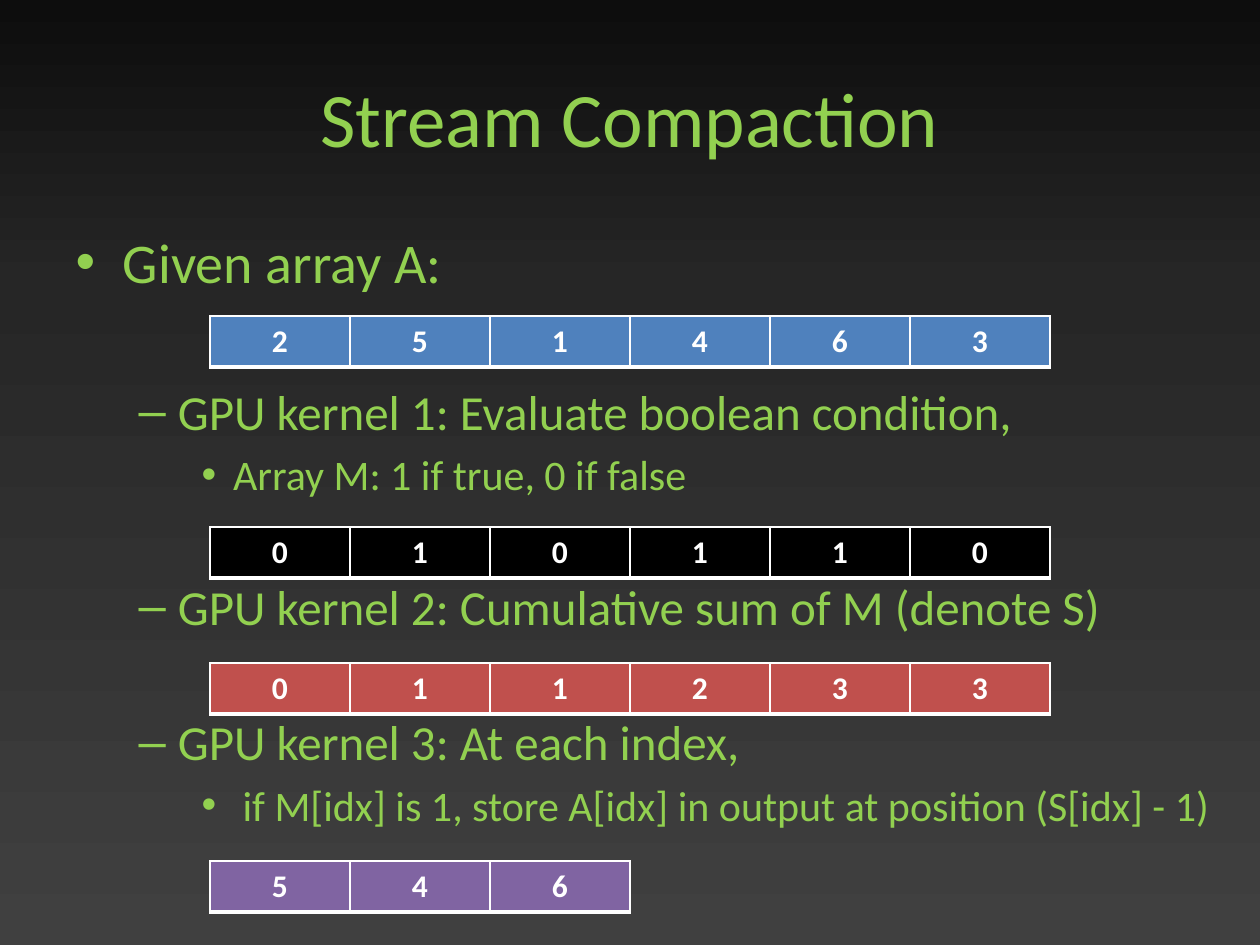
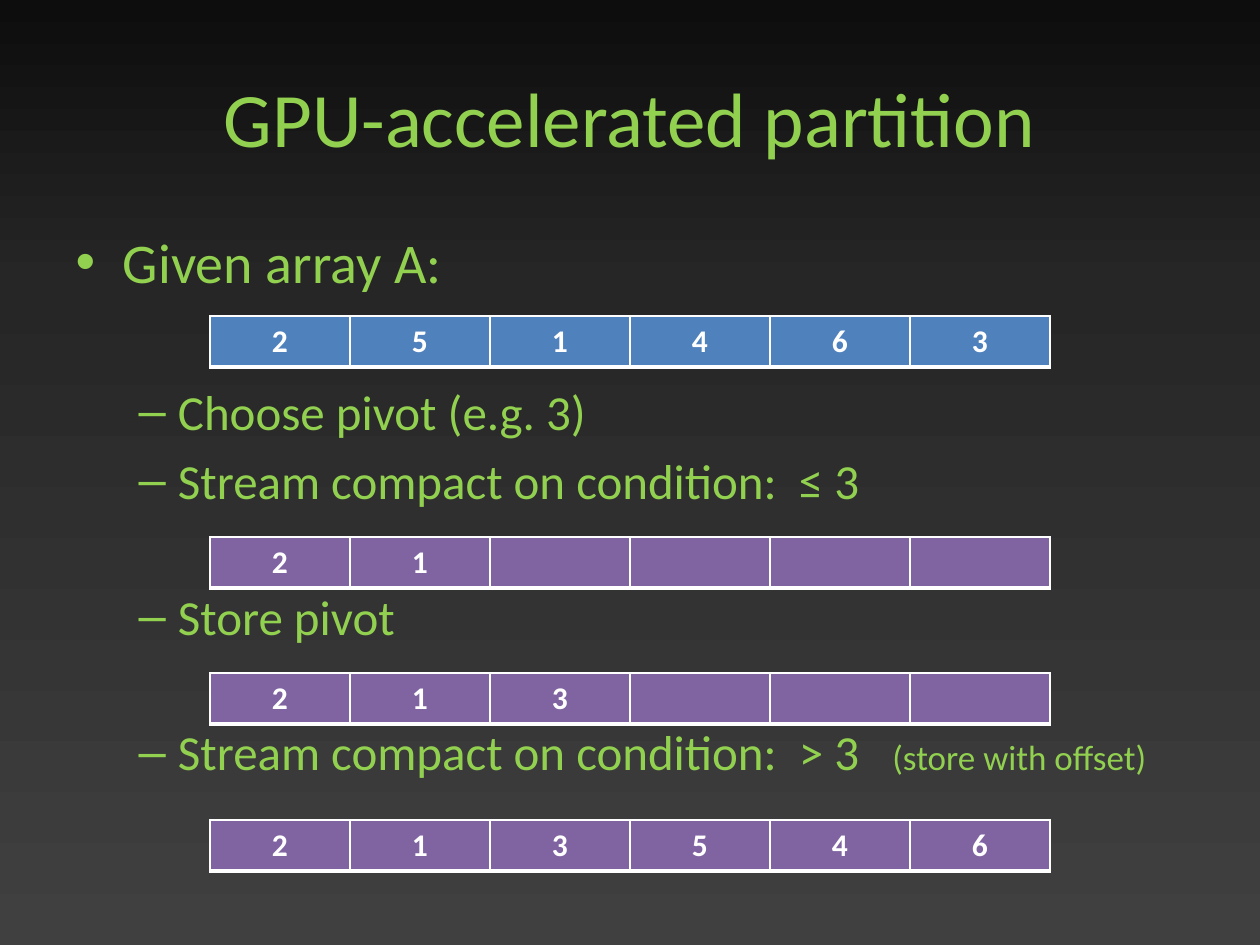
from copy import deepcopy

from lxml.etree import SubElement
from pptx import Presentation
from pptx.dml.color import RGBColor
from pptx.enum.text import MSO_ANCHOR, MSO_AUTO_SIZE, PP_ALIGN
from pptx.oxml.ns import qn
from pptx.util import Emu, Pt

GREEN = RGBColor(0x92, 0xD0, 0x50)
WHITE = RGBColor(0xFF, 0xFF, 0xFF)
BLACK = RGBColor(0x00, 0x00, 0x00)
BLUE = RGBColor(0x4F, 0x81, 0xBD)
RED = RGBColor(0xC0, 0x50, 0x4D)
PURPLE = RGBColor(0x80, 0x64, 0xA2)
SHADES = [
    (0, RGBColor(0x40, 0x40, 0x40)),
    (0.7, RGBColor(0x26, 0x26, 0x26)),
    (1, RGBColor(0x0D, 0x0D, 0x0D)),
]

FONT = "Calibri"
SIZES = [32, 28, 24]  # text size by list level
WIDE = 87  # space left in the list for the first array
SLIM = 77  # space left for each later array

INPUT = (316, BLUE, [2, 5, 1, 4, 6, 3])

# lines: level, space before (None keeps the template's), (text, size) parts
# arrays: top, fill, values
SLIDES = [
    {
        "title": "Stream Compaction",
        "body": (63, 221, 1218, 734),
        "lines": [
            (0, None, [("Given array A:", None)]),
            (1, WIDE, [("GPU kernel 1: Evaluate boolean condition,", None)]),
            (2, None, [("Array M: 1 if true, 0 if false", None)]),
            (1, SLIM, [("GPU kernel 2: Cumulative sum of M (denote S)", None)]),
            (1, SLIM, [("GPU kernel 3: At each index,", None)]),
            (2, None, [(" if M[idx] is 1, store A[idx] in output at position (S[idx] - 1)", None)]),
        ],
        "arrays": [
            INPUT,
            (527, BLACK, [0, 1, 0, 1, 1, 0]),
            (663, RED, [0, 1, 1, 2, 3, 3]),
            (861, PURPLE, [5, 4, 6]),
        ],
    },
    {
        "title": "GPU-accelerated partition",
        "body": (63, 221, 1134, 756),
        "lines": [
            (0, None, [("Given array A:", None)]),
            (1, WIDE, [("Choose pivot (e.g. 3)", None)]),
            (1, None, [("Stream compact on condition:  ≤ 3", None)]),
            (1, SLIM, [("Store pivot", None)]),
            (1, SLIM, [("Stream compact on condition:  > 3   ", None),
                       ("(store with offset)", 20)]),
        ],
        "arrays": [
            INPUT,
            (537, PURPLE, [2, 1, "", "", "", ""]),
            (673, PURPLE, [2, 1, 3, "", "", ""]),
            (820, PURPLE, [2, 1, 3, 5, 4, 6]),
        ],
    },
]

TITLE = (63, 38, 1134, 158)
LEFT, CELL, ROW = 210, 140, 51
EDGES = [("a:lnL", 1), ("a:lnR", 1), ("a:lnT", 1), ("a:lnB", 3)]


def px(num):
    return Emu(round(num * 914400 / 126))


def place(shape, box):
    shape.left, shape.top, shape.width, shape.height = map(px, box)


def write(para, text, size, color=GREEN, bold=False, align=None):
    run = para.add_run()
    run.text = text
    font = run.font
    font.name, font.size, font.bold = FONT, Pt(size), bold
    font.color.rgb = color
    if align is not None:
        para.alignment = align


def paint(master):
    """Give the master its grey gradient, dark at the top."""
    fill = master.background.fill
    fill.gradient()
    fill.gradient_angle = 90
    stops = master.element.find(".//" + qn("a:gsLst"))
    stops.append(deepcopy(stops[-1]))
    for stop, (pos, shade) in zip(fill.gradient_stops, SHADES):
        stop.position = pos
        stop.color.rgb = shade


def edge(cell):
    """Draw white borders, with a heavy one below."""
    props = cell._tc.get_or_add_tcPr()
    for at, (tag, width) in enumerate(EDGES):
        line = SubElement(props, qn(tag), w=str(Pt(width)))
        solid = SubElement(line, qn("a:solidFill"))
        SubElement(solid, qn("a:srgbClr"), val=str(WHITE))
        props.insert(at, line)


def add_array(slide, top, color, values):
    count = len(values)
    frame = slide.shapes.add_table(1, count, px(LEFT), px(top), px(CELL * count), px(ROW))
    table = frame.table
    table.first_row = table.horz_banding = False
    for cell, value in zip(table.iter_cells(), values):
        cell.fill.solid()
        cell.fill.fore_color.rgb = color
        edge(cell)
        if value != "":
            write(cell.text_frame.paragraphs[0], str(value), 18,
                  color=WHITE, bold=True, align=PP_ALIGN.CENTER)


def add_list(body, lines):
    frame = body.text_frame
    frame.auto_size = MSO_AUTO_SIZE.NONE
    for num, (level, gap, parts) in enumerate(lines):
        para = frame.add_paragraph() if num else frame.paragraphs[0]
        para.level = level
        if gap:
            para.space_before = px(gap)
        for text, size in parts:
            write(para, text, size or SIZES[level])


def add_slide(deck, data):
    slide = deck.slides.add_slide(deck.slide_layouts[1])
    title, body = slide.placeholders
    place(title, TITLE)
    title.text_frame.auto_size = MSO_AUTO_SIZE.NONE
    title.text_frame.vertical_anchor = MSO_ANCHOR.MIDDLE
    write(title.text_frame.paragraphs[0], data["title"], 44, align=PP_ALIGN.CENTER)
    place(body, data["body"])
    add_list(body, data["lines"])
    for array in data["arrays"]:
        add_array(slide, *array)


def main():
    deck = Presentation()
    deck.slide_width, deck.slide_height = px(1260), px(945)
    paint(deck.slide_master)
    for data in SLIDES:
        add_slide(deck, data)
    deck.save("out.pptx")


if __name__ == "__main__":
    main()
